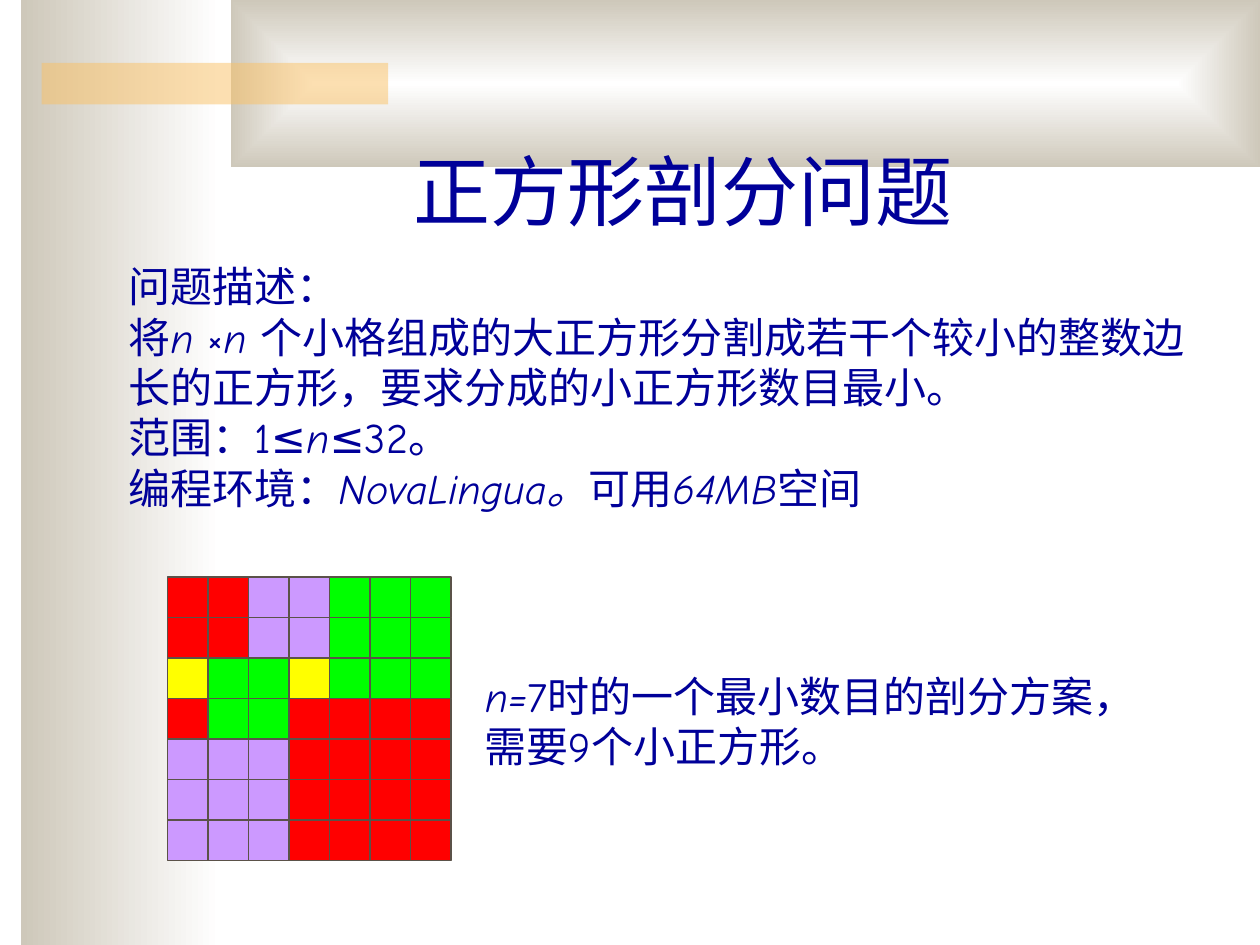
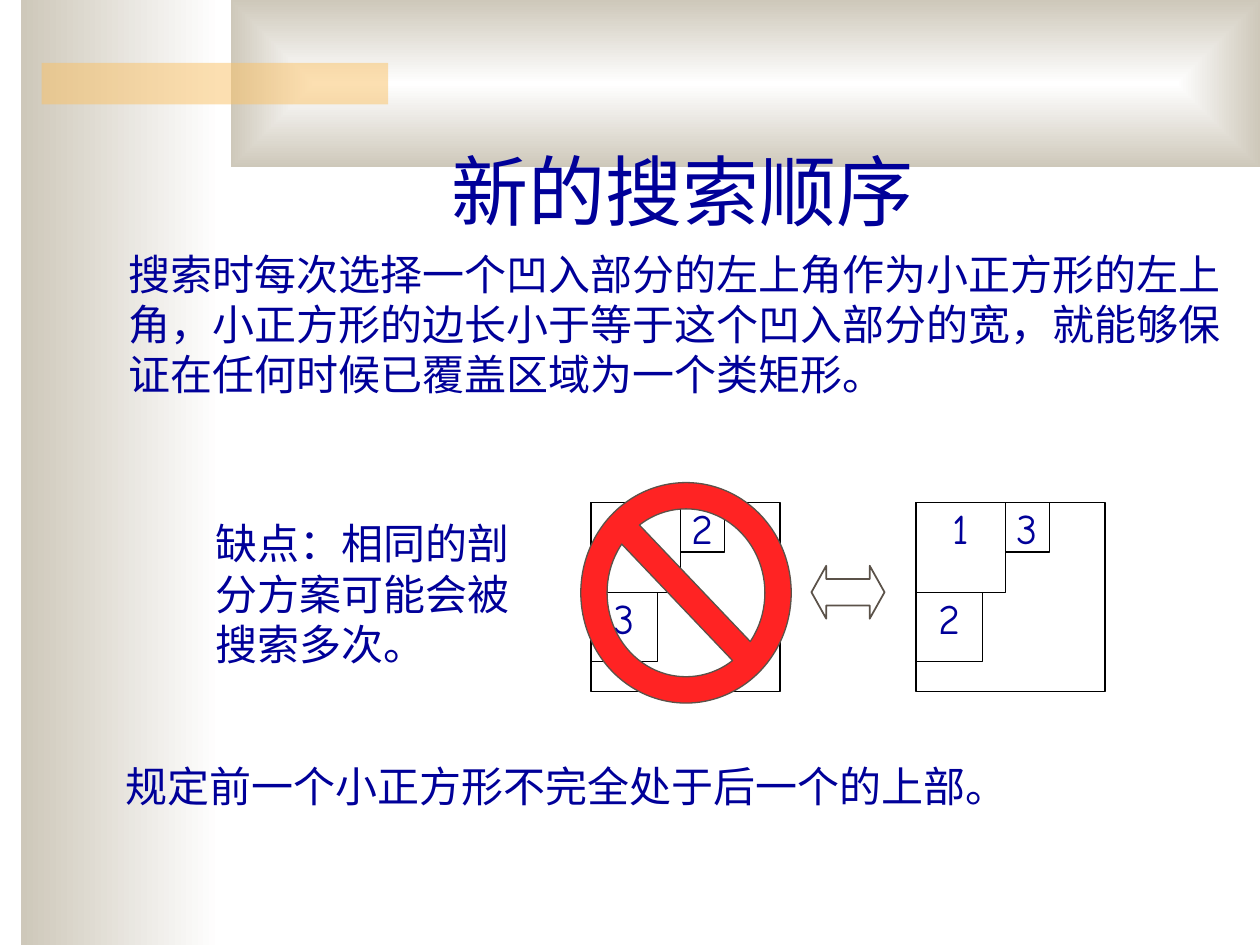
from dataclasses import dataclass

from lxml import etree
from pptx import Presentation
from pptx import util as u
from pptx.dml.color import RGBColor
from pptx.enum import shapes, text
from pptx.oxml import ns


@dataclass(frozen=True)
class Theme:
    font: str = "Comic Neue"
    title_size: int = 44
    body_size: int = 24
    ink: str = "000099"
    white: str = "FFFFFF"
    beige: str = "CEC8BA"
    accent: str = "FAC164"
    outline: str = "5B5249"
    black: str = "000000"
    red: str = "FF0000"
    green: str = "00FF00"
    yellow: str = "FFFF00"
    violet: str = "CC99FF"
    sign_red: str = "FF2323"
    thin: float = 0.74
    medium: float = 1.0


THEME = Theme()
SHAPE = shapes.MSO_SHAPE
CENTER = text.PP_ALIGN.CENTER

# The dissection of the 7 x 7 square, one letter for each cell
CELL_COLOURS = {"R": THEME.red, "G": THEME.green,
                "Y": THEME.yellow, "V": THEME.violet}
DISSECTION = ["RRVVGGG", "RRVVGGG", "YGGYGGG", "RGGRRRR"] + ["VVVRRRR"] * 3
CELL = 2.25 / 7


def inches(*lengths):
    return [u.Inches(length) for length in lengths]


def add_shape(parent, kind, box, fill=None, line=None, width=THEME.thin):
    """Add a preset shape; without a colour, fill and line stay empty."""
    shape = parent.shapes.add_shape(kind, *inches(*box))
    shape.shadow.inherit = False
    if fill:
        shape.fill.solid()
        shape.fill.fore_color.rgb = RGBColor.from_string(fill)
    else:
        shape.fill.background()
    if line:
        shape.line.color.rgb = RGBColor.from_string(line)
        shape.line.width = u.Pt(width)
    else:
        shape.line.fill.background()
    return shape


def format_run(run, size, italic=False):
    run.font.name = THEME.font
    run.font.size = u.Pt(size)
    run.font.color.rgb = RGBColor.from_string(THEME.ink)
    run.font.italic = italic


def add_text(slide, box, paragraphs, size=THEME.body_size, align=None,
             anchor=text.MSO_ANCHOR.TOP):
    """Each paragraph lists its pieces, upright and italic by turns."""
    frame = slide.shapes.add_textbox(*inches(*box)).text_frame
    frame.word_wrap = True
    frame.vertical_anchor = anchor
    for number, pieces in enumerate(paragraphs):
        paragraph = frame.add_paragraph() if number else frame.paragraphs[0]
        paragraph.alignment = align
        for turn, piece in enumerate(pieces):
            if piece:
                run = paragraph.add_run()
                run.text = piece
                format_run(run, size, italic=turn % 2 == 1)


def fade(shape, from_centre=False):
    """Fade from white to beige, leftwards or from the centre outwards."""
    shape.fill.gradient()
    shape.fill.gradient_angle = 180
    for stop, colour in zip(shape.fill.gradient_stops,
                            (THEME.white, THEME.beige)):
        stop.color.rgb = RGBColor.from_string(colour)
    if from_centre:
        gradient = shape._element.spPr.find(ns.qn("a:gradFill"))
        gradient.remove(gradient.find(ns.qn("a:lin")))
        rings = etree.SubElement(gradient, ns.qn("a:path"), path="rect")
        etree.SubElement(rings, ns.qn("a:fillToRect"),
                         dict.fromkeys("ltrb", "50000"))


def add_base_slide(presentation, title):
    """Start a slide with the shared bands and the title."""
    slide = presentation.slides.add_slide(presentation.slide_layouts[6])
    fade(add_shape(slide, SHAPE.RECTANGLE, (0.17, 0, 1.58, 7.5)))
    fade(add_shape(slide, SHAPE.RECTANGLE, (1.83, 0, 8.17, 1.33)),
         from_centre=True)
    bar = add_shape(slide, SHAPE.RECTANGLE, (0.33, 0.5, 2.75, 0.33),
                    THEME.accent)
    colour = bar._element.spPr.find(ns.qn("a:solidFill"))[0]
    etree.SubElement(colour, ns.qn("a:alpha"), val="50000")
    add_text(slide, (1.17, 0.92, 8.5, 1), [[title]], THEME.title_size,
             CENTER, text.MSO_ANCHOR.BOTTOM)
    return slide


def add_dissection(slide, left, top):
    group = slide.shapes.add_group_shape()
    for row, letters in enumerate(DISSECTION):
        for column, letter in enumerate(letters):
            box = (left + column * CELL, top + row * CELL, CELL, CELL)
            add_shape(group, SHAPE.RECTANGLE, box, CELL_COLOURS[letter],
                      THEME.outline)


def add_search_order(slide, left, top, labels):
    """Draw the big square with its corner, right and lower small squares."""
    group = slide.shapes.add_group_shape()
    add_shape(group, SHAPE.RECTANGLE, (left, top, 1.5, 1.5),
              line=THEME.black)
    corner = 0.71
    boxes = [(left, top, corner, corner),
             (left + corner, top, 0.35, 0.39),
             (left, top + corner, 0.53, 0.55)]
    for box, label in zip(boxes, labels):
        square = add_shape(group, SHAPE.RECTANGLE, box, line=THEME.black)
        frame = square.text_frame
        frame.margin_left = frame.margin_right = 0
        frame.margin_top = frame.margin_bottom = 0
        frame.vertical_anchor = text.MSO_ANCHOR.TOP
        frame.text = label
        frame.paragraphs[0].alignment = CENTER
        format_run(frame.paragraphs[0].runs[0], THEME.body_size)


def build_problem_slide(presentation):
    slide = add_base_slide(presentation, "正方形剖分问题")
    add_text(slide, (0.92, 2.02, 8.75, 2.23), [
        ["问题描述："],
        ["将", "n ", "×", "n ",
         "个小格组成的大正方形分割成若干个较小的整数边长的正方形，"
         "要求分成的小正方形数目最小。"],
        ["范围：1", "≤n≤", "32。"],
        ["编程环境：", "NovaLingua。", "可用", "64MB", "空间"],
    ])
    add_text(slide, (3.75, 5.27, 5.58, 0.9),
             [["", "n=", "7时的一个最小数目的剖分方案，需要9个小正方形。"]])
    add_dissection(slide, 1.33, 4.58)


def build_search_slide(presentation):
    slide = add_base_slide(presentation, "新的搜索顺序")
    add_text(slide, (0.92, 1.92, 8.92, 1.44), [[
        "搜索时每次选择一个凹入部分的左上角作为小正方形的左上角，"
        "小正方形的边长小于等于这个凹入部分的宽，"
        "就能够保证在任何时候已覆盖区域为一个类矩形。"]])
    add_text(slide, (1.61, 4.06, 2.6, 1.34),
             [["缺点：相同的剖分方案可能会被搜索多次。"]])

    # Two equivalent orders, the first one forbidden
    add_search_order(slide, 4.69, 3.99, "123")
    add_search_order(slide, 7.27, 3.99, "132")
    arrow = add_shape(slide, SHAPE.LEFT_RIGHT_ARROW, (6.44, 4.49, 0.58, 0.42),
                      line=THEME.outline, width=THEME.medium)
    arrow.adjustments[0] = 0.5
    arrow.adjustments[1] = 0.28
    add_text(slide, (0.9, 5.99, 8.85, 0.59),
             [["规定前一个小正方形不完全处于后一个的上部。"]])
    sign = add_shape(slide, SHAPE.NO_SYMBOL, (4.61, 3.83, 1.67, 1.75),
                     THEME.sign_red, THEME.outline)
    sign.adjustments[0] = 0.125


def main():
    presentation = Presentation()
    presentation.slide_width, presentation.slide_height = inches(10, 7.5)
    build_problem_slide(presentation)
    build_search_slide(presentation)
    presentation.save("out.pptx")


main()
